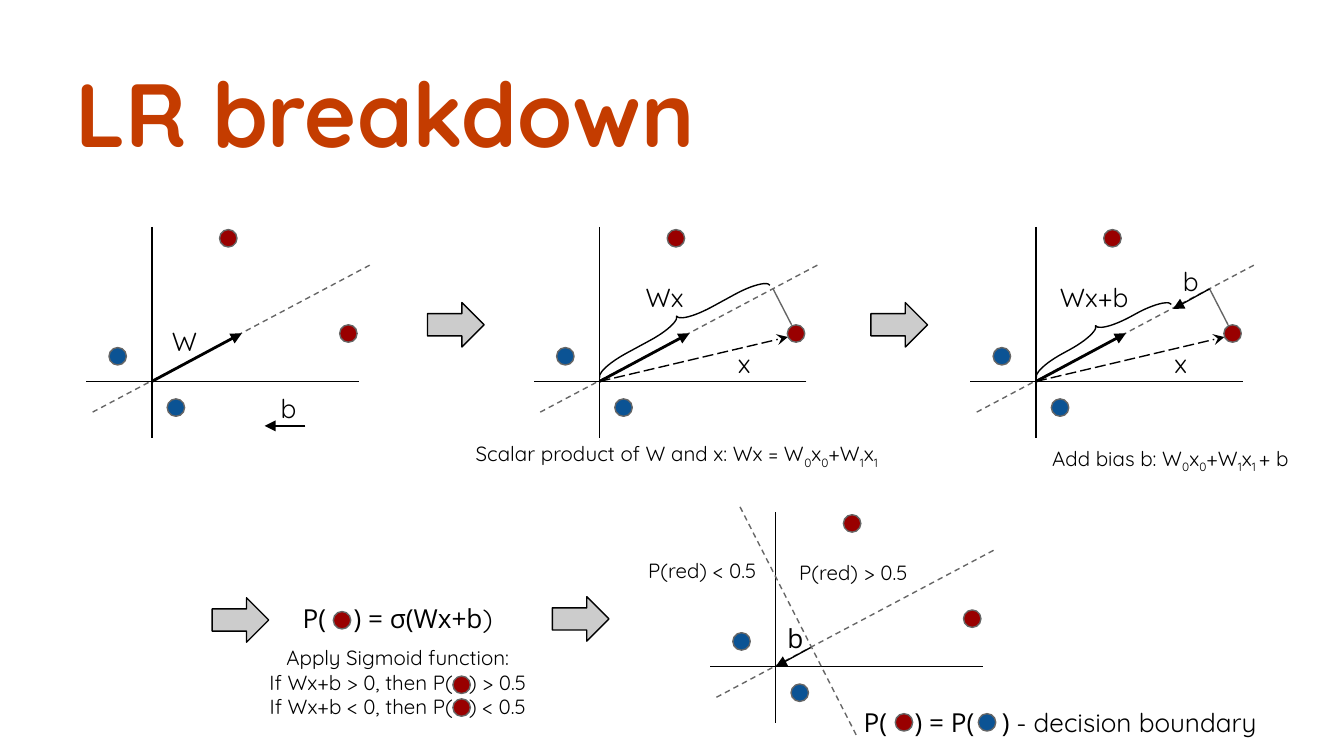
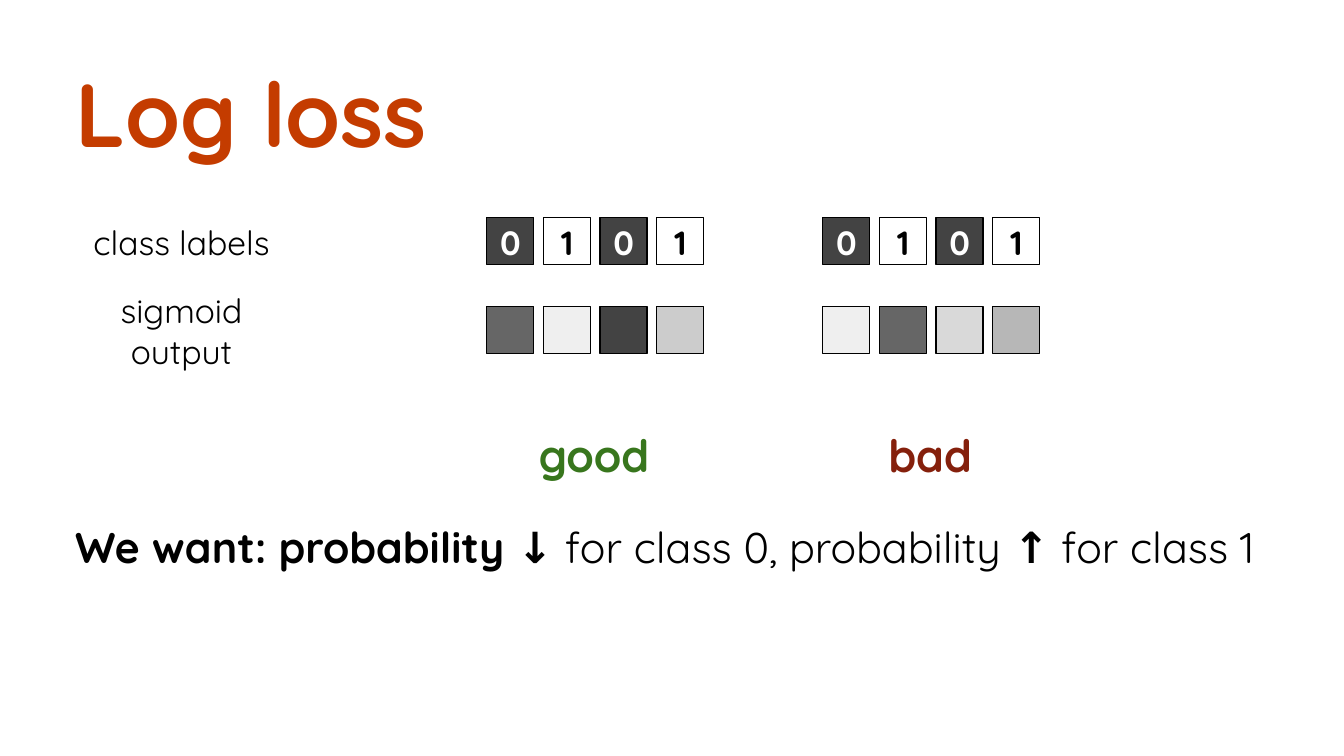
"""Build two slides on logistic regression: its geometric breakdown and log loss."""
from lxml import etree
from pptx import Presentation
from pptx.dml.color import RGBColor
from pptx.enum.dml import MSO_LINE
from pptx.enum.shapes import MSO_CONNECTOR, MSO_SHAPE
from pptx.enum.text import MSO_ANCHOR, PP_ALIGN
from pptx.oxml.ns import qn
from pptx.util import Cm, Pt

STRAIGHT = MSO_CONNECTOR.STRAIGHT
DASH, LONG_DASH = MSO_LINE.DASH, MSO_LINE.LONG_DASH
ELLIPSE, SQUARE = MSO_SHAPE.OVAL, MSO_SHAPE.RECTANGLE
BLOCK_ARROW, BRACE = MSO_SHAPE.RIGHT_ARROW, MSO_SHAPE.RIGHT_BRACE
TOP, MIDDLE = MSO_ANCHOR.TOP, MSO_ANCHOR.MIDDLE
LEFT, CENTER = PP_ALIGN.LEFT, PP_ALIGN.CENTER

ORANGE = RGBColor(0xC4, 0x3C, 0x00)
BLACK = RGBColor(0x00, 0x00, 0x00)
WHITE = RGBColor(0xFF, 0xFF, 0xFF)
RED = RGBColor(0x99, 0x00, 0x00)
BLUE = RGBColor(0x0B, 0x53, 0x94)
GREEN = RGBColor(0x38, 0x76, 0x1D)
BROWN = RGBColor(0x85, 0x20, 0x0C)
CHARCOAL = RGBColor(0x43, 0x43, 0x43)
GRAY = RGBColor(0x66, 0x66, 0x66)
MID_GRAY = RGBColor(0xB7, 0xB7, 0xB7)
SILVER = RGBColor(0xCC, 0xCC, 0xCC)
LIGHT_GRAY = RGBColor(0xD9, 0xD9, 0xD9)
PALE_GRAY = RGBColor(0xEF, 0xEF, 0xEF)

BODY_FONT, MATH_FONT = "Quicksand", "Open Sans"
MARGIN = Cm(0.25)
DOT, LABEL_HEIGHT = 0.33, 1.12
SUBSCRIPT = {"baseline": "-25000"}
BOLD = {"bold": True}


def add_text(slide, box, paragraphs, anchor=MIDDLE, alignment=CENTER, color=BLACK, space=0, **font):
    """Add a text box whose paragraphs are lists of strings or (string, format) runs."""
    frame = slide.shapes.add_textbox(*map(Cm, box)).text_frame
    frame_format = {"word_wrap": True, "vertical_anchor": anchor, "margin_left": MARGIN,
                    "margin_right": MARGIN, "margin_top": MARGIN, "margin_bottom": MARGIN}
    for name, value in frame_format.items():
        setattr(frame, name, value)
    for index, runs in enumerate(paragraphs):
        paragraph = frame.add_paragraph() if index else frame.paragraphs[0]
        paragraph.alignment = alignment
        paragraph.space_before = paragraph.space_after = Pt(space)
        for item in runs:
            text, changes = (item, {}) if isinstance(item, str) else item
            run = paragraph.add_run()
            run.text = text
            run.font.color.rgb = color
            for name, value in {"name": BODY_FONT, **font, **changes}.items():
                if name in ("baseline", "spc"):
                    run.font._element.set(name, value)
                else:
                    setattr(run.font, name, value)


def add_shape(slide, kind, box, fill=None, line=BLACK):
    """Add a thinly outlined preset shape, unfilled when no fill is given."""
    shape = slide.shapes.add_shape(kind, *map(Cm, box))
    shape.shadow.inherit = False
    if fill is None:
        shape.fill.background()
    else:
        shape.fill.solid()
        shape.fill.fore_color.rgb = fill
    shape.line.color.rgb = line
    shape.line.width = Pt(0.75)
    return shape


presentation = Presentation()
presentation.slide_width = Cm(25.4)
presentation.slide_height = Cm(14.29)

slides = []
for title in ("LR breakdown", "Log loss"):
    slide = presentation.slides.add_slide(presentation.slide_layouts[6])
    add_text(slide, (1.17, 0.84, 23.5, 3.76), [[title]], TOP, LEFT, ORANGE, size=Pt(48), bold=True)
    slides.append(slide)
breakdown, log_loss = slides

weight_plot, product_plot, bias_plot, boundary_plot = plots = [
    (2.87, 7.21), (11.33, 7.21), (19.58, 7.21), (14.66, 12.6)]

axis_style = (BLACK, 0.75, None, None)
guide_style = (GRAY, 0.75, DASH, None)
bias_style = (BLACK, 0.75, None, "triangle")
plot_lines = [
    ((-1.12, 0.58, 4.14, -2.21), guide_style, plots),
    ((0, -2.92, 0, 1.07), axis_style, plots),
    ((3.91, 0, -1.24, 0), axis_style, plots),
    ((0, 0, 1.7, -0.91), (BLACK, 1.5, None, "triangle"), plots[:3]),
    ((0, 0, 3.56, -0.84), (BLACK, 0.75, LONG_DASH, "stealth"), plots[1:3]),
    ((3.28, -1.75, 3.63, -1.07), (GRAY, 0.75, None, None), plots[1:3]),
    ((2.9, 0.84, 2.13, 0.84), bias_style, [weight_plot]),
    ((3.28, -1.75, 2.59, -1.37), bias_style, [bias_plot]),
    ((0.66, -0.36, 0, 0), bias_style, [boundary_plot]),
    ((1.52, 1.29, -0.69, -3.05), guide_style, [boundary_plot]),
]
for (start_x, start_y, end_x, end_y), (color, width, dash, head), origins in plot_lines:
    for x, y in origins:
        connector = breakdown.shapes.add_connector(
            STRAIGHT, Cm(x + start_x), Cm(y + start_y), Cm(x + end_x), Cm(y + end_y))
        connector.line.color.rgb = color
        connector.line.width = Pt(width)
        if dash:
            connector.line.dash_style = dash
        if head:
            etree.SubElement(connector.line._get_or_add_ln(), qn("a:tailEnd"), type=head)
        etree.SubElement(connector._element.spPr, qn("a:effectLst"))

for box in [(12.7, 4.29, 0.33, 3.66), (20.62, 4.85, 0.33, 2.9)]:
    brace = add_shape(breakdown, BRACE, box)
    brace.rotation = 241.5
    brace.adjustments[0] = 1.98

for left, top in [(8.08, 5.72), (16.46, 5.72), (4.01, 11.3), (10.44, 11.28)]:
    add_shape(breakdown, BLOCK_ARROW, (left, top, 1.07, 0.84), SILVER)

variables = [
    ("W", 3, 5.89, 0.91, BODY_FONT),
    ("Wx", 11.71, 5.05, 1.7, BODY_FONT),
    ("Wx+b", 19.56, 5.05, 2.24, BODY_FONT),
    ("x", 13.61, 6.3, 0.91, BODY_FONT),
    ("x", 21.86, 6.3, 0.91, BODY_FONT),
    ("b", 5, 7.16, 0.91, BODY_FONT),
    ("b", 22.05, 4.75, 0.91, BODY_FONT),
    ("b", 14.58, 11.51, 0.91, MATH_FONT),
]
for text, left, top, width, font_name in variables:
    add_text(breakdown, (left, top, width, LABEL_HEIGHT), [[text]], name=font_name, size=Pt(14))

wide_gap = (" ", {"spc": "1100"})
narrow_gap = (" ", {"spc": "550"})
body = {"name": BODY_FONT}
equations = [
    ((5.23, 11.13, 4.57, LABEL_HEIGHT), ["P(", wide_gap, ") = σ(Wx+b", (")", body)]),
    ((15.11, 13.08, 9.86, LABEL_HEIGHT),
     ["P(", wide_gap, ") = P(", wide_gap, ") ", ("- decision boundary", body)]),
]
for box, runs in equations:
    add_text(breakdown, box, [runs], name=MATH_FONT, size=Pt(14))

product = [("0", SUBSCRIPT), "x", ("0", SUBSCRIPT), "+W", ("1", SUBSCRIPT), "x"]
captions = [
    ((8.33, 8.05, 8.92, LABEL_HEIGHT), MIDDLE,
     [["Scalar product of W and x: Wx = W", *product, ("1", SUBSCRIPT)]]),
    ((19.43, 8.13, 5.38, LABEL_HEIGHT), MIDDLE,
     [["Add bias b: W", *product, ("1 ", SUBSCRIPT), "+ b"]]),
    ((4.83, 12.09, 5.38, 1.6), MIDDLE,
     [["Apply Sigmoid function:"],
      *[[f"If Wx+b {sign} 0, then P(", narrow_gap, f") {sign} 0.5"] for sign in "><"]]),
    ((14.68, 10.36, 2.9, 0.99), TOP, [["P(red) > 0.5"]]),
    ((11.51, 10.31, 3.53, 0.99), TOP, [["P(red) < 0.5"]]),
]
for box, anchor, paragraphs in captions:
    add_text(breakdown, box, paragraphs, anchor, size=Pt(11))

plot_dots = [(-0.81, -0.64, BLUE), (0.29, 0.33, BLUE), (3.55, -1.07, RED), (1.28, -2.87, RED)]
dots = [(x + left, y + top, color) for x, y in plots for left, top, color in plot_dots]
dots += [(6.3, 11.56, RED), (16.92, 13.49, RED), (18.49, 13.49, BLUE),
         (8.56, 12.78, RED), (8.56, 13.21, RED)]
for left, top, color in dots:
    add_shape(breakdown, ELLIPSE, (left, top, DOT, DOT), color, GRAY)

for text, top in [("class labels", 4.01), ("sigmoid output", 5.69)]:
    add_text(log_loss, (1.5, top, 3.86, LABEL_HEIGHT), [[text]], size=Pt(18))

side, pitch = 0.89, 1.07
class_styles = [("0", CHARCOAL, WHITE), ("1", None, BLACK)] * 2
examples = [
    (9.2, "good", GREEN, [GRAY, PALE_GRAY, CHARCOAL, SILVER]),
    (15.55, "bad", BROWN, [PALE_GRAY, GRAY, LIGHT_GRAY, MID_GRAY]),
]
for left, verdict, verdict_color, outputs in examples:
    for index, ((digit, fill, color), output) in enumerate(zip(class_styles, outputs)):
        x = left + index * pitch
        add_shape(log_loss, SQUARE, (x, 4.11, side, side), fill)
        add_shape(log_loss, SQUARE, (x, 5.79, side, side), output)
        add_text(log_loss, (x - 0.11, 4.01, LABEL_HEIGHT, LABEL_HEIGHT), [[digit]],
                 color=color, size=Pt(18), bold=True)
    add_text(log_loss, (left + 0.1, 8.03, 3.86, LABEL_HEIGHT), [[verdict]],
             color=verdict_color, size=Pt(24), bold=True)

goal = [("We want: probability ↓", BOLD), " for class 0, probability ", ("↑", BOLD), " for class 1"]
add_text(log_loss, (1.17, 9.6, 23.04, 2.06), [goal], TOP, LEFT, space=10, size=Pt(23))

presentation.save("out.pptx")
